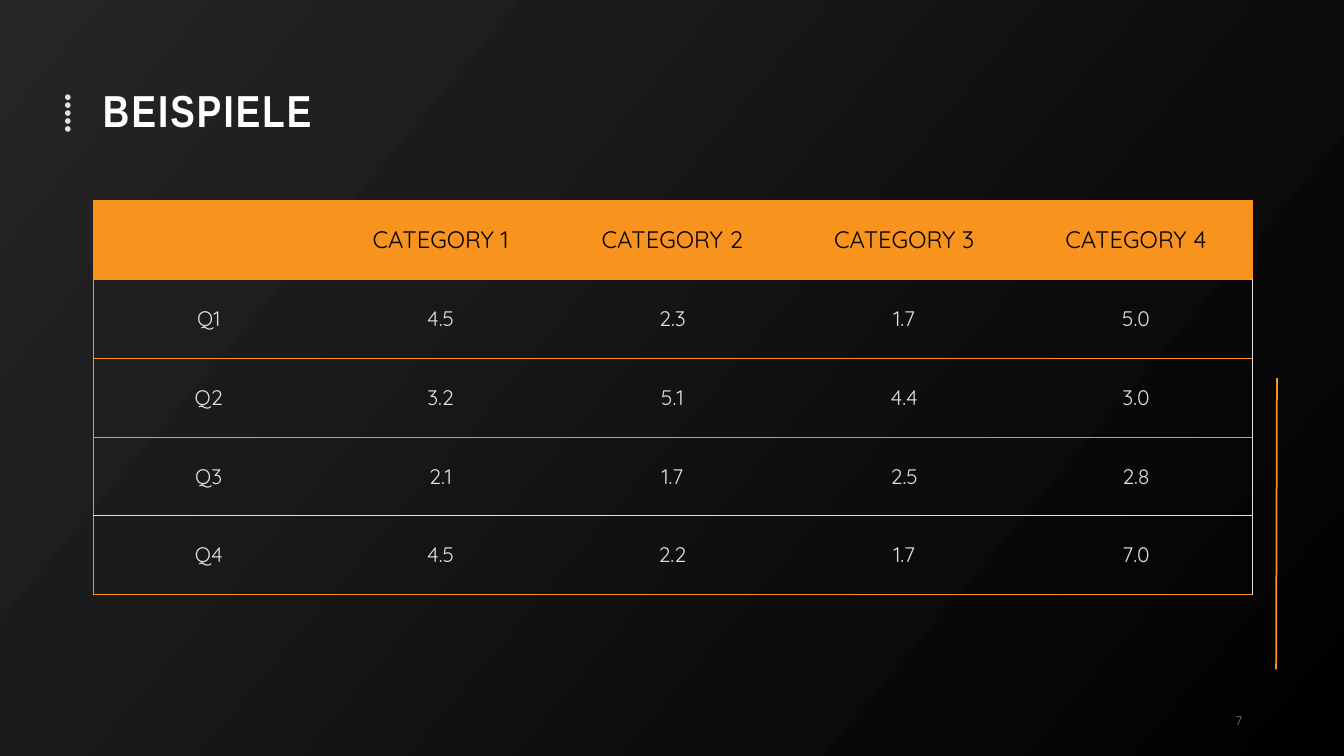
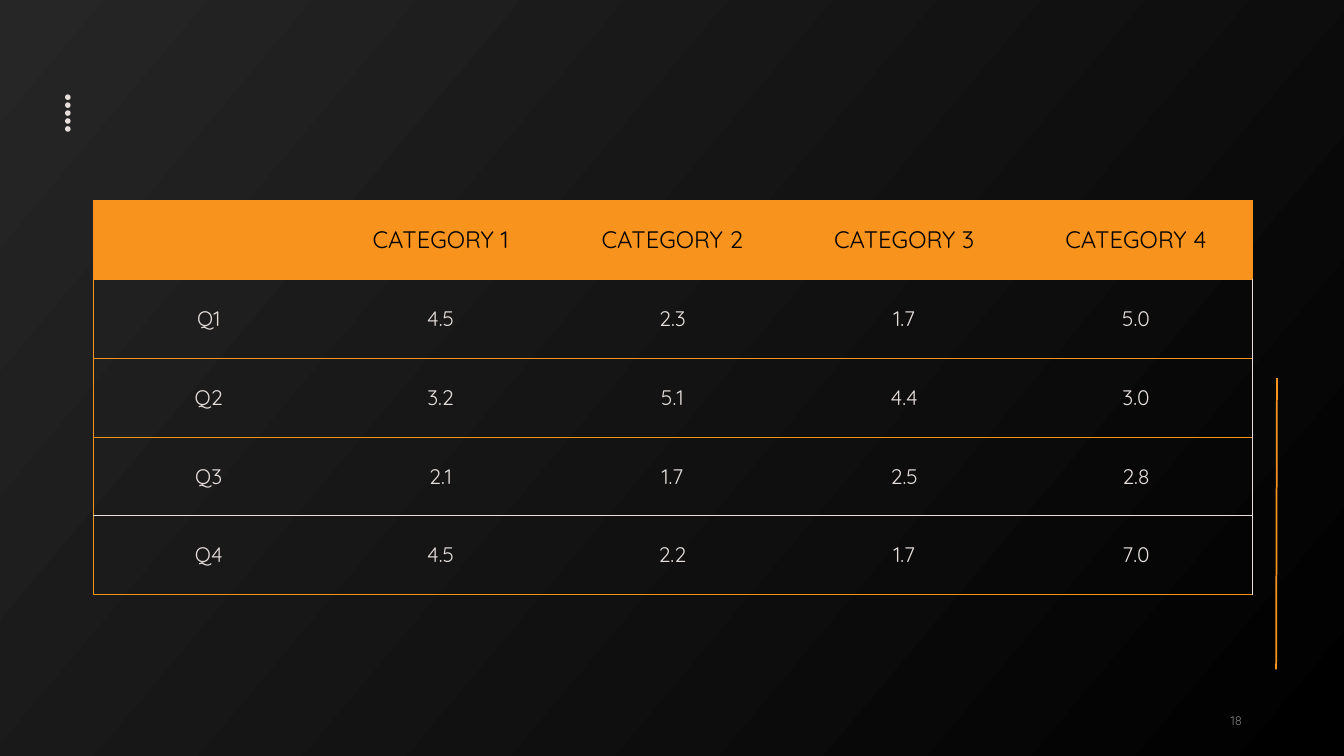
import pptx
import pptx.dml.color
import pptx.enum.shapes
import pptx.enum.text
import pptx.oxml.ns
import pptx.util
from lxml import etree

Cm = pptx.util.Cm
Pt = pptx.util.Pt
qn = pptx.oxml.ns.qn
ALIGN = pptx.enum.text.PP_ALIGN
MIDDLE = pptx.enum.text.MSO_ANCHOR.MIDDLE

ORANGE = "F8931D"
LIGHT = "E5DEDB"
BLACK = "000000"
WHITE = "FFFFFF"
GREY = "808080"
BODY_FONT = "Quicksand"
TITLE_FONT = "Arial Narrow"
NO_TABLE_STYLE = "{2D5ABB26-0587-4C30-8999-92F81FD0307C}"

ROWS = [
    ["", "CATEGORY 1", "CATEGORY 2", "CATEGORY 3", "CATEGORY 4"],
    ["Q1", "4.5", "2.3", "1.7", "5.0"],
    ["Q2", "3.2", "5.1", "4.4", "3.0"],
    ["Q3", "2.1", "1.7", "2.5", "2.8"],
    ["Q4", "4.5", "2.2", "1.7", "7.0"],
]


def rgb(value):
    return pptx.dml.color.RGBColor.from_string(value)


def write(tf, text, size, color, align, font=BODY_FONT):
    tf.word_wrap = True
    tf.vertical_anchor = MIDDLE
    p = tf.paragraphs[0]
    p.alignment = align
    r = p.add_run()
    r.text = text
    r.font.size = Pt(size)
    r.font.name = font
    r.font.color.rgb = rgb(color)
    return p, r


def set_background(master):
    fill = master.background.fill
    fill.gradient()
    fill.gradient_angle = 320
    for stop, color in zip(fill.gradient_stops, ("262626", BLACK)):
        stop.color.rgb = rgb(color)


def add_dots(s):
    for i in range(5):
        sp = s.shapes.add_shape(pptx.enum.shapes.MSO_SHAPE.OVAL,
                                Cm(1.64), Cm(2.38 + 0.2 * i), Cm(0.14), Cm(0.14))
        sp.shadow.inherit = False
        sp.fill.solid()
        sp.fill.fore_color.rgb = rgb(LIGHT)
        sp.line.fill.background()


def add_side_line(s):
    line = s.shapes.add_connector(pptx.enum.shapes.MSO_CONNECTOR.STRAIGHT,
                                  Cm(32.18), Cm(9.53), Cm(32.16), Cm(16.87))
    line.line.color.rgb = rgb(ORANGE)
    line.line.width = Pt(1.25)
    etree.SubElement(line._element.spPr, qn("a:effectLst"))


def add_number(s, number):
    sp = s.shapes.add_textbox(Cm(23.93), Cm(17.65), Cm(7.62), Cm(1.02))
    write(sp.text_frame, number, 9, GREY, ALIGN.RIGHT)


def set_title(s, text):
    sp = s.shapes.title
    sp.left, sp.top, sp.width, sp.height = Cm(2.34), Cm(0.99), Cm(29.24), Cm(3.73)
    p, r = write(sp.text_frame, text, 32, WHITE, ALIGN.LEFT, TITLE_FONT)
    p.line_spacing = 0.9
    r.font.bold = True
    r._r.get_or_add_rPr().set("spc", "150")


def add_border(cell, side, color):
    ln = etree.SubElement(cell._tc.get_or_add_tcPr(), qn("a:ln" + side), w=str(Pt(0.5)))
    fill = etree.SubElement(ln, qn("a:solidFill"))
    etree.SubElement(fill, qn("a:srgbClr"), val=color)


def add_borders(cell, row, col):
    last = len(ROWS) - 1
    if col == 0:
        add_border(cell, "L", ORANGE)
    if col == len(ROWS[0]) - 1:
        add_border(cell, "R", LIGHT if row else ORANGE)
    add_border(cell, "T", LIGHT if row == last else ORANGE)
    add_border(cell, "B", LIGHT if row == last - 1 else ORANGE)


def add_data_table(s):
    frame = s.shapes.add_table(len(ROWS), len(ROWS[0]),
                               Cm(2.34), Cm(5.05), Cm(29.21), Cm(9.93))
    table = frame.table
    table.first_row = table.horz_banding = False
    table._tbl.tblPr.find(qn("a:tableStyleId")).text = NO_TABLE_STYLE
    for i, row in enumerate(ROWS):
        for j, text in enumerate(row):
            cell = table.cell(i, j)
            add_borders(cell, i, j)
            if i == 0:
                cell.fill.solid()
                cell.fill.fore_color.rgb = rgb(ORANGE)
            else:
                cell.fill.background()
            cell.vertical_anchor = MIDDLE
            if text:
                size, color = (15, LIGHT) if i else (17, BLACK)
                p = cell.text_frame.paragraphs[0]
                p.alignment = ALIGN.CENTER
                r = p.add_run()
                r.text = text
                r.font.size = Pt(size)
                r.font.name = BODY_FONT
                r.font.color.rgb = rgb(color)


def add_table_slide(prs, number, title=None):
    s = prs.slides.add_slide(prs.slide_layouts[5 if title else 6])
    add_dots(s)
    add_side_line(s)
    add_number(s, number)
    if title:
        set_title(s, title)
    add_data_table(s)


def main():
    prs = pptx.Presentation()
    prs.slide_width, prs.slide_height = Cm(33.87), Cm(19.05)
    set_background(prs.slide_master)
    add_table_slide(prs, "7", "BEISPIELE")
    add_table_slide(prs, "18")
    prs.save("out.pptx")


if __name__ == "__main__":
    main()
